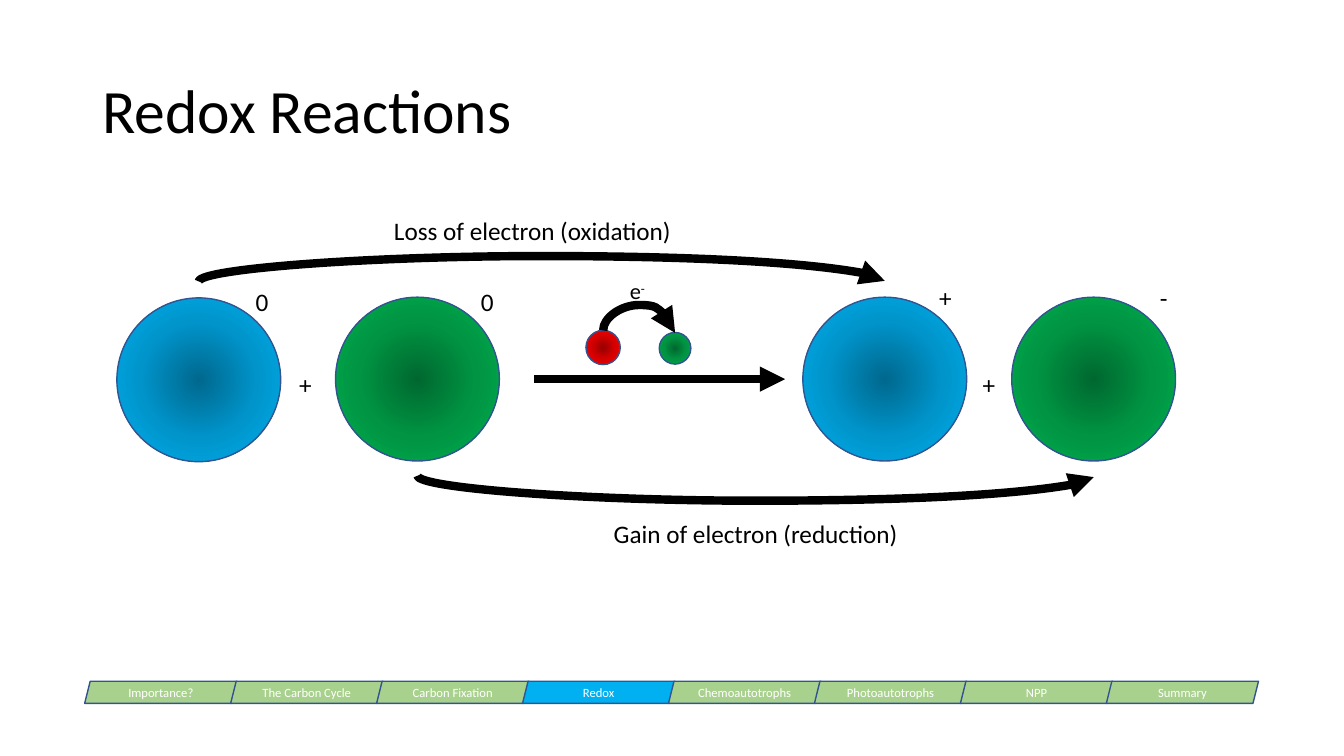
from dataclasses import dataclass

from pptx import Presentation
from pptx.dml.color import RGBColor
from pptx.enum.shapes import MSO_CONNECTOR, MSO_SHAPE
from pptx.enum.text import MSO_ANCHOR, MSO_AUTO_SIZE, PP_ALIGN
from pptx.oxml import parse_xml
from pptx.oxml.ns import nsdecls
from pptx.util import Pt


@dataclass(frozen=True)
class Theme:
    font: str = "Calibri"
    ink: str = "000000"
    white: str = "FFFFFF"
    outline: str = "325491"
    tab: str = "A9D18E"
    active_tab: str = "00B0F0"
    blue: tuple = ("00688E", "0094CA", "00B0F0")
    green: tuple = ("00682F", "009443", "00B050")
    red: tuple = ("970000", "D70000", "FF0000")
    title_size: float = 44
    label_size: float = 18
    electron_size: float = 16
    tab_size: float = 9
    outline_width: float = 1
    arrow_width: float = 6


theme = Theme()

TITLE = "Redox Reactions"
SECTIONS = ["Importance?", "The Carbon Cycle", "Carbon Fixation", "Redox",
            "Chemoautotrophs", "Photoautotrophs", "NPP", "Summary"]
ACTIVE_SECTION = "Redox"
SPHERES = [
    (142, 271.3, 117, theme.blue),
    (298.2, 270.8, 117, theme.green),
    (632, 270.8, 117, theme.blue),
    (781.2, 270.8, 117, theme.green),
    (430.8, 248.2, 24.5, theme.red),
    (482.2, 248.8, 22.6, theme.green),
]
LABELS = [
    ("Loss of electron (oxidation)", 274.3, 149.9, 286.6),
    ("Gain of electron (reduction)", 431.3, 366.8, 286.6),
    ("0", 175.5, 201, 24.5),
    ("0", 336.4, 201, 24.5),
    ("+", 663.8, 198, 24.5),
    ("-", 821.5, 198, 24.5),
    ("+", 206.6, 260, 24.5),
    ("+", 694.8, 260, 24.5),
]
ELECTRON = (("e", 0), ("-", 30000))
CURVES = [
    ((142, 201.1), (632, 200.65), -18),
    ((298.2, 339.8), (781.2, 340.8), 18),
    ((430.8, 236), (482.2, 237.8), -18),
]
REACTION_ARROW = (381.6, 270.8, 560.8, 270.8)


def set_values(target, values):
    for name, value in values.items():
        setattr(target, name, value)


def write(frame, spans, size, color, align=PP_ALIGN.LEFT, anchor=MSO_ANCHOR.TOP):
    set_values(frame, {"word_wrap": True, "auto_size": MSO_AUTO_SIZE.NONE,
                       "vertical_anchor": anchor})
    para = frame.paragraphs[0]
    para.alignment = align
    for text, baseline in spans:
        span = para.add_run()
        span.text = text
        set_values(span.font, {"name": theme.font, "size": Pt(size)})
        span.font.color.rgb = RGBColor.from_string(color)
        if baseline:
            span.font._element.set("baseline", str(baseline))
    return para


def add_label(page, spans, left, top, width, height, size):
    box = page.shapes.add_textbox(Pt(left), Pt(top), Pt(width), Pt(height))
    write(box.text_frame, spans, size, theme.ink)


def add_outlined(page, kind, left, top, width, height):
    shape = page.shapes.add_shape(kind, Pt(left), Pt(top), Pt(width), Pt(height))
    shape.shadow.inherit = False
    shape.line.color.rgb = RGBColor.from_string(theme.outline)
    shape.line.width = Pt(theme.outline_width)
    return shape


def add_sphere(page, center_x, center_y, diameter, colors):
    sphere = add_outlined(page, MSO_SHAPE.OVAL, center_x - diameter / 2,
                          center_y - diameter / 2, diameter, diameter)
    stops = "".join(f'<a:gs pos="{place * 50000}"><a:srgbClr val="{color}"/></a:gs>'
                    for place, color in enumerate(colors))
    gradient = parse_xml(
        f'<a:gradFill {nsdecls("a")} rotWithShape="1"><a:gsLst>{stops}</a:gsLst>'
        '<a:path path="circle"><a:fillToRect l="50000" t="50000" r="50000" b="50000"/>'
        '</a:path></a:gradFill>')
    sphere._element.spPr.prstGeom.addnext(gradient)


def add_arrow(page, kind, *ends):
    arrow = page.shapes.add_connector(kind, *(Pt(end) for end in ends))
    arrow.line.color.rgb = RGBColor.from_string(theme.ink)
    arrow.line.width = Pt(theme.arrow_width)
    arrow.line._get_or_add_ln().append(
        parse_xml(f'<a:tailEnd {nsdecls("a")} type="triangle"/>'))
    arrow._element.spPr.append(parse_xml(f'<a:effectLst {nsdecls("a")}/>'))
    return arrow


def add_curve(page, start, end, bend):
    span, drop = end[0] - start[0], end[1] - start[1]
    middle_x, middle_y = (start[0] + end[0]) / 2, (start[1] + end[1]) / 2
    right, left = middle_x + abs(drop) / 2, middle_x - abs(drop) / 2
    turn = 90 if drop < 0 else 270
    reach = span / 2 if drop < 0 else -span / 2
    curve = add_arrow(page, MSO_CONNECTOR.CURVE, right, middle_y + reach,
                      left, middle_y - reach)
    properties = curve._element.spPr
    properties.find("{*}xfrm").set("rot", str(turn * 60000))
    guides = properties.find("{*}prstGeom").find("{*}avLst")
    guides.append(parse_xml(
        f'<a:gd {nsdecls("a")} name="adj1" fmla="val {round(bend / drop * 100000)}"/>'))


def add_section_tab(page, index, name):
    tab = add_outlined(page, MSO_SHAPE.PARALLELOGRAM,
                       60.5 + index * 104.25, 486.6, 108.7, 15.8)
    color = theme.active_tab if name == ACTIVE_SECTION else theme.tab
    tab.fill.solid()
    tab.fill.fore_color.rgb = RGBColor.from_string(color)
    write(tab.text_frame, [(name, 0)], theme.tab_size, theme.white,
          PP_ALIGN.CENTER, MSO_ANCHOR.MIDDLE)


def main():
    deck = Presentation()
    set_values(deck, {"slide_width": Pt(960), "slide_height": Pt(540)})
    page = deck.slides.add_slide(deck.slide_layouts[5])
    title = page.shapes.title
    set_values(title, {"left": Pt(66), "top": Pt(28.8),
                       "width": Pt(828), "height": Pt(104.4)})
    para = write(title.text_frame, [(TITLE, 0)], theme.title_size, theme.ink,
                 anchor=MSO_ANCHOR.MIDDLE)
    para.line_spacing = 0.9

    for sphere in SPHERES:
        add_sphere(page, *sphere)
    add_arrow(page, MSO_CONNECTOR.STRAIGHT, *REACTION_ARROW)
    for curve in CURVES:
        add_curve(page, *curve)
    for text, left, top, width in LABELS:
        add_label(page, [(text, 0)], left, top, width, 29, theme.label_size)
    add_label(page, ELECTRON, 442.8, 194.6, 49.7, 26.6, theme.electron_size)
    for index, name in enumerate(SECTIONS):
        add_section_tab(page, index, name)
    deck.save("out.pptx")


if __name__ == "__main__":
    main()
